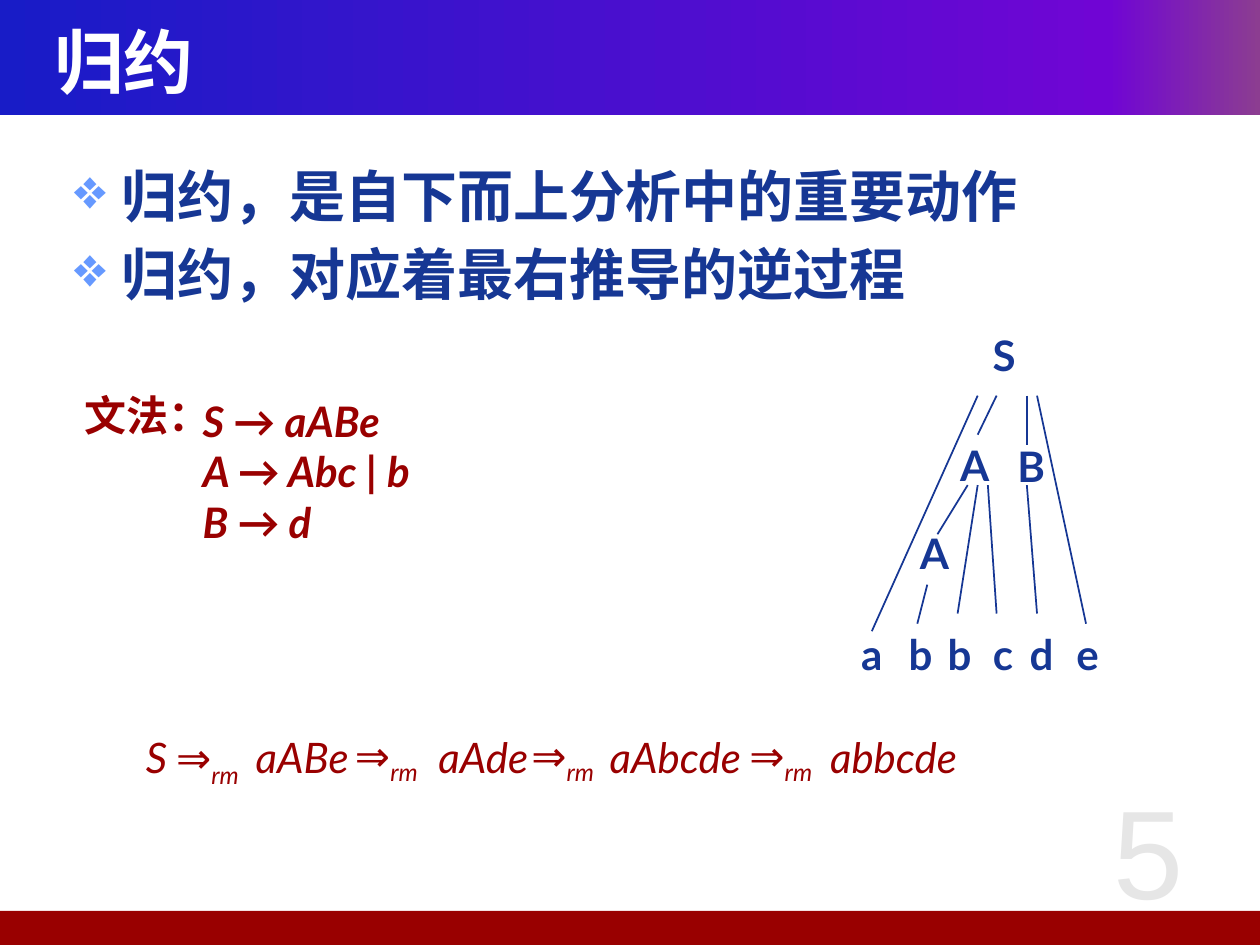
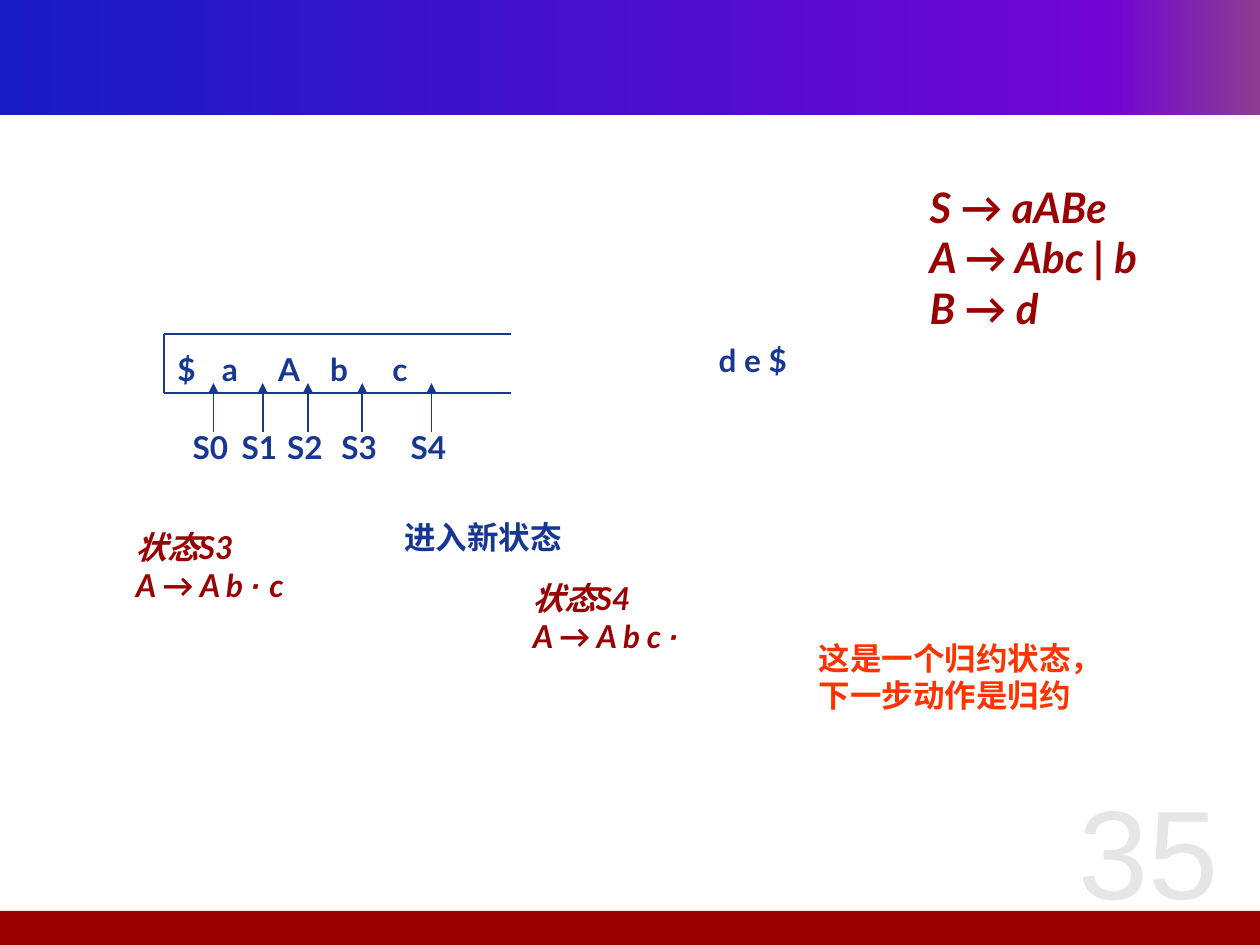
from pptx import Presentation
from pptx.dml.color import RGBColor
from pptx.enum.shapes import MSO_CONNECTOR, MSO_SHAPE
from pptx.enum.text import MSO_ANCHOR, PP_ALIGN
from pptx.oxml.ns import qn
from pptx.util import Pt
from lxml.etree import SubElement

HUES = {"blue": "163794", "red": "990000", "white": "FFFFFF", "gray": "E6E6E6",
        "mark": "6699FF", "warn": "FF3300"}
BAND = [(0, "181CC7"), (88, "7005D4"), (100, "8C3D91")]
LATIN, HAN, SANS = "Lato", "Noto Sans CJK SC", "Arial"

TITLE = "归约"
POINTS = ["归约，是自下而上分析中的重要动作", "归约，对应着最右推导的逆过程"]
RULES = [["S → aABe"], ["A → Abc ", ("| ", {"slant": False}), "b"], ["B → d"]]
NODES = [("S", 573.8, 185), ("A", 556.9, 247.7), ("B", 589.3, 248.4), ("A", 533.9, 298.1)]
LEAVES = [("a", 498.2), ("b", 526), ("b", 548.3), ("c", 573.1), ("d", 595.1), ("e", 621.4)]
LEAF_Y = 355.7
EDGES = [
    (558.7, 226.1, 498.2, 360.7), (569.5, 226.1, 558.7, 248.4),
    (586.8, 226.1, 586.8, 254.2), (592.6, 226.1, 620.6, 356.4),
    (553, 277.2, 535.7, 305.3), (558.7, 277.2, 547.2, 350.6),
    (564.5, 277.2, 569.5, 350.6), (586.8, 277.2, 592.6, 350.6),
    (529.9, 334.1, 524.2, 356.4),
]
FORMS = [("S", 76.3, 28), ("aABe", 139, 69), ("aAde", 243.4, 68),
         ("aAbcde", 341.3, 93), ("abbcde", 467.3, 91)]
STEPS = [(93.6, 414.7), (195.8, 413.3), (296.6, 413.3), (421.2, 413.3)]
STACK = [("$", 106.6), ("a", 131.4), ("A", 165.2), ("b", 193.7), ("c", 228.6)]
STATES = [120.2, 148.3, 174.2, 205.2, 244.8]
FRAME = (93.6, 190.8, 292.3, 224.6)
DOT = {"face": SANS}
ITEMS = [
    ([["状态S3"], ["A → A b ", ("· ", DOT), "c"]], 70.6, 298.1, 124.6),
    ([["状态S4"], ["A → A b c ", ("·", DOT)]], 297.4, 327.6, 124.6),
]
NOTE = [["这是一个归约状态，"], ["下一步动作是归约"]]


def tint(name):
    return RGBColor.from_string(HUES[name])


def write(line, text, size, hue, bold=True, slant=False, face=LATIN, base=0):
    run = line.add_run()
    run.text = text
    font = run.font
    font.size, font.bold, font.italic, font.name = Pt(size), bold, slant, face
    font.color.rgb = tint(hue)
    props = run._r.get_or_add_rPr()
    if base:
        props.set("baseline", str(base * 1000))
    if any(char > "⺀" for char in text):
        SubElement(props, qn("a:ea"), typeface=HAN)


def put(slide, lines, x, y, w, h, size, hue, wrap=False, align=PP_ALIGN.LEFT,
        anchor=MSO_ANCHOR.TOP, bullet=False, **style):
    frame = slide.shapes.add_textbox(Pt(x), Pt(y), Pt(w), Pt(h)).text_frame
    frame.word_wrap, frame.vertical_anchor = wrap, anchor
    for i, parts in enumerate(lines):
        line = frame.paragraphs[0] if i == 0 else frame.add_paragraph()
        line.alignment = align
        if bullet:
            mark(line)
            if i:
                line.space_before = Pt(size * 0.2)
        for part in parts:
            text, extra = part if isinstance(part, tuple) else (part, {})
            write(line, text, size, hue, **{**style, **extra})


def mark(line):
    props = line._p.get_or_add_pPr()
    props.set("marL", str(Pt(27)))
    props.set("indent", str(-Pt(27)))
    SubElement(SubElement(props, qn("a:buClr")), qn("a:srgbClr"), val=HUES["mark"])
    SubElement(props, qn("a:buChar"), char="❖")


def label(slide, text, mid, y, size):
    put(slide, [[text]], mid - 19, y, 38, size * 1.5, size, "blue", align=PP_ALIGN.CENTER)


def link(slide, x1, y1, x2, y2, head=False):
    line = slide.shapes.add_connector(MSO_CONNECTOR.STRAIGHT, Pt(x1), Pt(y1), Pt(x2), Pt(y2))
    line.line.color.rgb, line.line.width = tint("blue"), Pt(1)
    if head:
        SubElement(line.line._get_or_add_ln(), qn("a:tailEnd"), type="triangle")
    SubElement(line._element.spPr, qn("a:effectLst"))


def block(slide, x, y, w, h):
    shape = slide.shapes.add_shape(MSO_SHAPE.RECTANGLE, Pt(x), Pt(y), Pt(w), Pt(h))
    shape.shadow.inherit = False
    shape.line.fill.background()
    return shape.fill


def start(deck, page):
    slide = deck.slides.add_slide(deck.slide_layouts[6])
    fill = block(slide, 0, 0, 720, 65.6)
    fill.gradient()
    fill.gradient_angle = 0
    stops = fill._fill._gradFill.find(qn("a:gsLst"))
    for stop in list(stops):
        stops.remove(stop)
    for spot, hue in BAND:
        stop = SubElement(stops, qn("a:gs"), pos=str(spot * 1000))
        SubElement(stop, qn("a:srgbClr"), val=hue)
    foot = block(slide, -3, 520.5, 723, 19.5)
    foot.solid()
    foot.fore_color.rgb = tint("red")
    put(slide, [[page]], 592.6, 434.2, 127.4, 102.2, 72, "gray", wrap=True,
        align=PP_ALIGN.CENTER, anchor=MSO_ANCHOR.MIDDLE, bold=False, face=SANS)
    return slide


def rules(slide, x, y):
    put(slide, RULES, x, y, 158.4, 94.3, 24, "red", slant=True)


def reduce(deck):
    slide = start(deck, "5")
    put(slide, [[TITLE]], 23.8, 12.2, 666, 44.6, 40, "white", wrap=True,
        anchor=MSO_ANCHOR.MIDDLE, face=HAN)
    put(slide, [[point] for point in POINTS], 35.3, 88.6, 648, 384.5, 32, "blue",
        wrap=True, bullet=True, face=HAN)
    for edge in EDGES:
        link(slide, *edge)
    for text, mid, y in NODES + [(*leaf, LEAF_Y) for leaf in LEAVES]:
        label(slide, text, mid, y, 24)
    put(slide, [["文法："]], 41, 218.9, 78.5, 36, 24, "red", wrap=True)
    rules(slide, 108.7, 222.5)
    for text, x, w in FORMS:
        put(slide, [[text]], x, 414.7, w, 36, 24, "red", bold=False, slant=True)
    for x, y in STEPS:
        put(slide, [["⇒", ("rm", {"base": -25})]], x, y, 57.6, 36, 24, "red",
            bold=False, slant=True)


def states(deck):
    slide = start(deck, "35")
    left, top, right, low = FRAME
    link(slide, left, top, right, top)
    link(slide, left, low, right, low)
    link(slide, left, top, left, low)
    for text, mid in STACK:
        label(slide, text, mid, 196.6, 18)
    for i, mid in enumerate(STATES):
        label(slide, f"S{i}", mid, 241.2, 18)
        link(slide, mid + 1.8, 247, mid + 1.8, 218.9, head=True)
    rules(slide, 524.2, 100.1)
    put(slide, [["d e $"]], 403.6, 191.5, 53.5, 28.8, 18, "blue")
    put(slide, [["进入新状态"]], 223.9, 292.3, 118.8, 28.8, 18, "blue", wrap=True)
    for lines, x, y, w in ITEMS:
        put(slide, lines, x, y, w, 50.4, 18, "red", wrap=True, slant=True)
    put(slide, NOTE, 460.8, 361.4, 188.6, 50.4, 18, "warn", wrap=True)


def main():
    deck = Presentation()
    deck.slide_width, deck.slide_height = Pt(720), Pt(540)
    reduce(deck)
    states(deck)
    deck.save("out.pptx")


if __name__ == "__main__":
    main()
